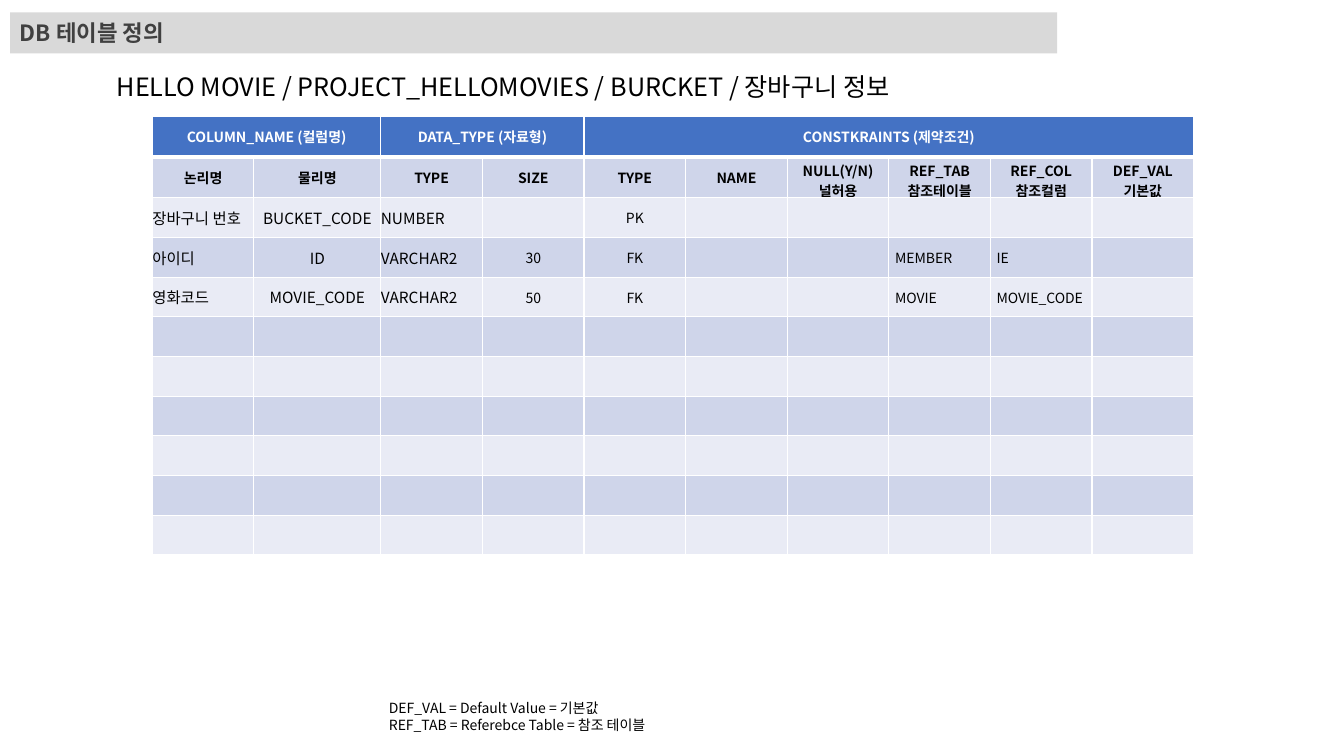
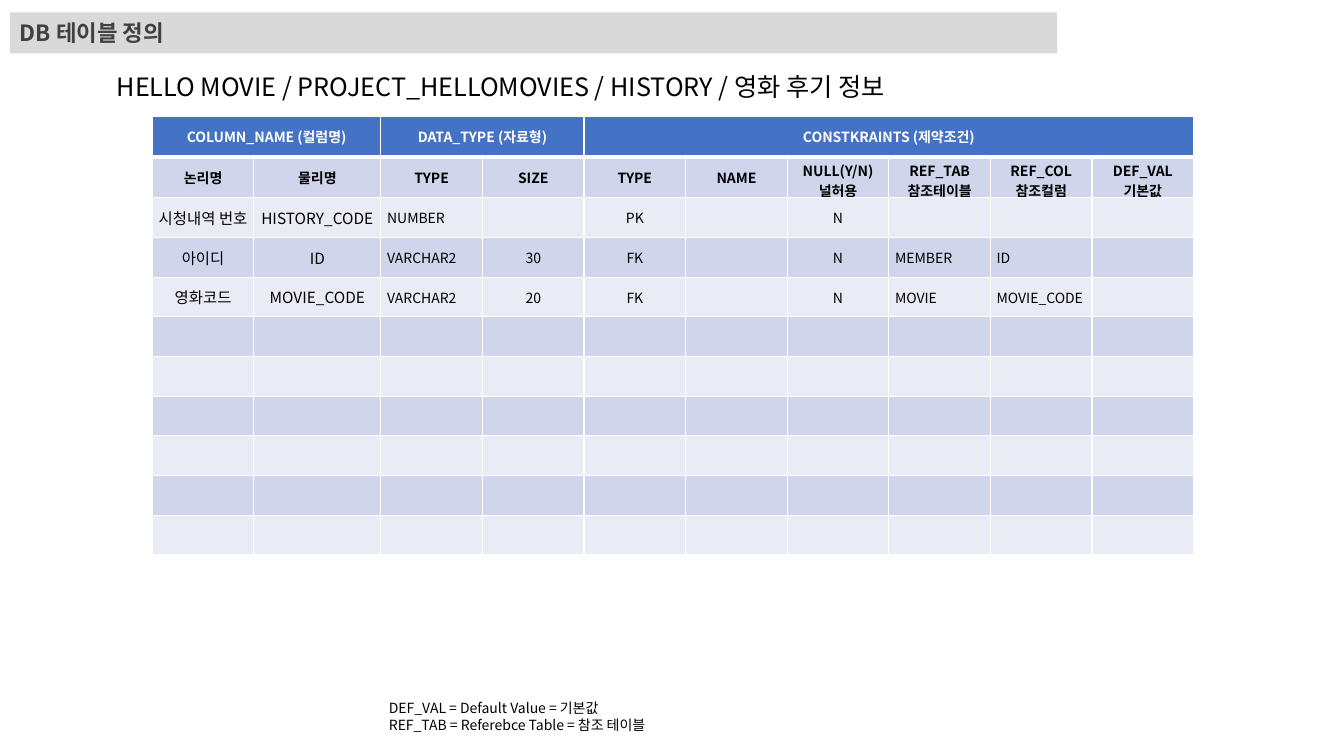
from lxml import etree
from pptx import Presentation
from pptx.dml.color import RGBColor
from pptx.enum.shapes import MSO_SHAPE
from pptx.enum.text import MSO_ANCHOR, MSO_AUTO_SIZE, PP_ALIGN
from pptx.oxml.ns import qn
from pptx.util import Pt

RECT = MSO_SHAPE.RECTANGLE
MIDDLE = MSO_ANCHOR.MIDDLE
FIT = MSO_AUTO_SIZE.SHAPE_TO_FIT_TEXT
LEFT, CENTER = PP_ALIGN.LEFT, PP_ALIGN.CENTER

FONT = "Noto Sans CJK KR"
COLORS = {
    "black": "000000", "white": "FFFFFF", "title": "404040", "bar": "D9D9D9",
    "head": "4472C4", "dark_band": "CFD5EA", "light_band": "E9EBF5",
}

# Table layout and headings shared by both slides
COL_W = [72.57, 90.7] + [72.57] * 8
ROW_H = [29.1] * 2 + [28.35] * 9
GROUPS = [(0, 1, "COLUMN_NAME (컬럼명)"), (2, 3, "DATA_TYPE (자료형)"),
          (4, 9, "CONSTKRAINTS (제약조건)")]
HEADINGS = ["논리명", "물리명", "TYPE", "SIZE", "TYPE", "NAME", "NULL(Y/N)\n널허용",
            "REF_TAB\n참조테이블", "REF_COL\n참조컬럼", "DEF_VAL\n기본값"]
NOTES = "DEF_VAL = Default Value = 기본값\nREF_TAB = Referebce Table = 참조 테이블"

# tight: columns with 11 pt text and no margins; left: left-aligned columns
SLIDES = [
    {"heading": "HELLO MOVIE / PROJECT_HELLOMOVIES / BURCKET / 장바구니 정보",
     "width": 587.5, "tight": (0, 1, 2), "left": (0, 2, 7, 8),
     "rows": [
         ["장바구니 번호", "BUCKET_CODE", "NUMBER", "", "PK", "", "", "", "", ""],
         ["아이디", "ID", "VARCHAR2", "30", "FK", "", "", "MEMBER", "IE", ""],
         ["영화코드", "MOVIE_CODE", "VARCHAR2", "50", "FK", "", "", "MOVIE", "MOVIE_CODE", ""]]},
    {"heading": "HELLO MOVIE / PROJECT_HELLOMOVIES / HISTORY / 영화 후기 정보",
     "width": 590.4, "tight": (0, 1), "left": (2, 7, 8),
     "rows": [
         ["시청내역 번호", "HISTORY_CODE", "NUMBER", "", "PK", "", "N", "", "", ""],
         ["아이디", "ID", "VARCHAR2", "30", "FK", "", "N", "MEMBER", "ID", ""],
         ["영화코드", "MOVIE_CODE", "VARCHAR2", "20", "FK", "", "N", "MOVIE", "MOVIE_CODE", ""]]},
]


def write(tf, text, size, color="black", bold=False, align=LEFT):
    for i, line in enumerate(text.split("\n")):
        p = tf.paragraphs[0] if i == 0 else tf.add_paragraph()
        p.alignment = align
        if not line:
            # keep empty cells from growing their row
            etree.SubElement(p._p, qn("a:endParaRPr"), sz=str(size * 100))
            continue
        r = p.add_run()
        r.text = line
        for name, value in {"size": Pt(size), "bold": bold, "name": FONT}.items():
            setattr(r.font, name, value)
        r.font.color.rgb = RGBColor.from_string(COLORS[color])
        etree.SubElement(r._r.get_or_add_rPr(), qn("a:ea"), typeface=FONT)


def style_cell(cell, fill, margins, bottom=1):
    for side, width in {"L": 1, "R": 1, "T": 1, "B": bottom}.items():
        ln = etree.SubElement(cell._tc.get_or_add_tcPr(), qn("a:ln" + side), w=str(Pt(width)))
        solid = etree.SubElement(ln, qn("a:solidFill"))
        etree.SubElement(solid, qn("a:srgbClr"), val=COLORS["white"])
    cell.fill.solid()
    cell.fill.fore_color.rgb = RGBColor.from_string(COLORS[fill])
    cell.vertical_anchor = MIDDLE
    cell.margin_left = cell.margin_right = Pt(margins[0])
    cell.margin_top = cell.margin_bottom = Pt(margins[1])


prs = Presentation()
prs.slide_width, prs.slide_height = Pt(960), Pt(540)

for spec_table in SLIDES:
    s = prs.slides.add_slide(prs.slide_layouts[6])

    # Footnotes and table heading
    for box, text, size in [((270.7, 496, 209.5, 31.7), NOTES, 10),
                            ((76.3, 47.5, spec_table["width"], 29), spec_table["heading"], 18)]:
        tf = s.shapes.add_textbox(*map(Pt, box)).text_frame
        tf.word_wrap = False
        tf.auto_size = FIT
        write(tf, text, size)

    # Definition table
    frame = s.shapes.add_table(len(ROW_H), len(COL_W), Pt(108.8), Pt(83.1),
                               Pt(sum(COL_W)), Pt(sum(ROW_H)))
    table = frame.table
    table.horz_banding = False
    for col, width in zip(table.columns, COL_W):
        col.width = Pt(width)
    for row, height in zip(table.rows, ROW_H):
        row.height = Pt(height)

    # Group headings over the columns
    for c in range(len(COL_W)):
        style_cell(table.cell(0, c), "head", (4.5, 2.25), bottom=3)
    for first, last, text in GROUPS:
        table.cell(0, first).merge(table.cell(0, last))
        write(table.cell(0, first).text_frame, text, 10, "white", True, CENTER)

    # Column headings, then data rows and empty rows
    blank_rows = [[""] * len(COL_W)] * (len(ROW_H) - 2 - len(spec_table["rows"]))
    for n, texts in enumerate([HEADINGS] + spec_table["rows"] + blank_rows, 1):
        for c, text in enumerate(texts):
            cell = table.cell(n, c)
            heading = n == 1
            tight = not heading and c in spec_table["tight"]
            align = LEFT if not heading and c in spec_table["left"] else CENTER
            style_cell(cell, "dark_band" if n % 2 else "light_band",
                       (0, 0) if tight else (4.5, 2.25))
            write(cell.text_frame, text, 11 if tight else 10, bold=heading, align=align)

    # Title bar
    sp = s.shapes.add_shape(RECT, Pt(7.2), Pt(8.8), Pt(748), Pt(29.3))
    sp.shadow.inherit = False
    sp.fill.solid()
    sp.fill.fore_color.rgb = RGBColor.from_string(COLORS["bar"])
    sp.line.fill.background()
    sp.text_frame.vertical_anchor = MIDDLE
    write(sp.text_frame, "DB 테이블 정의", 16, "title", True)

prs.save("out.pptx")
